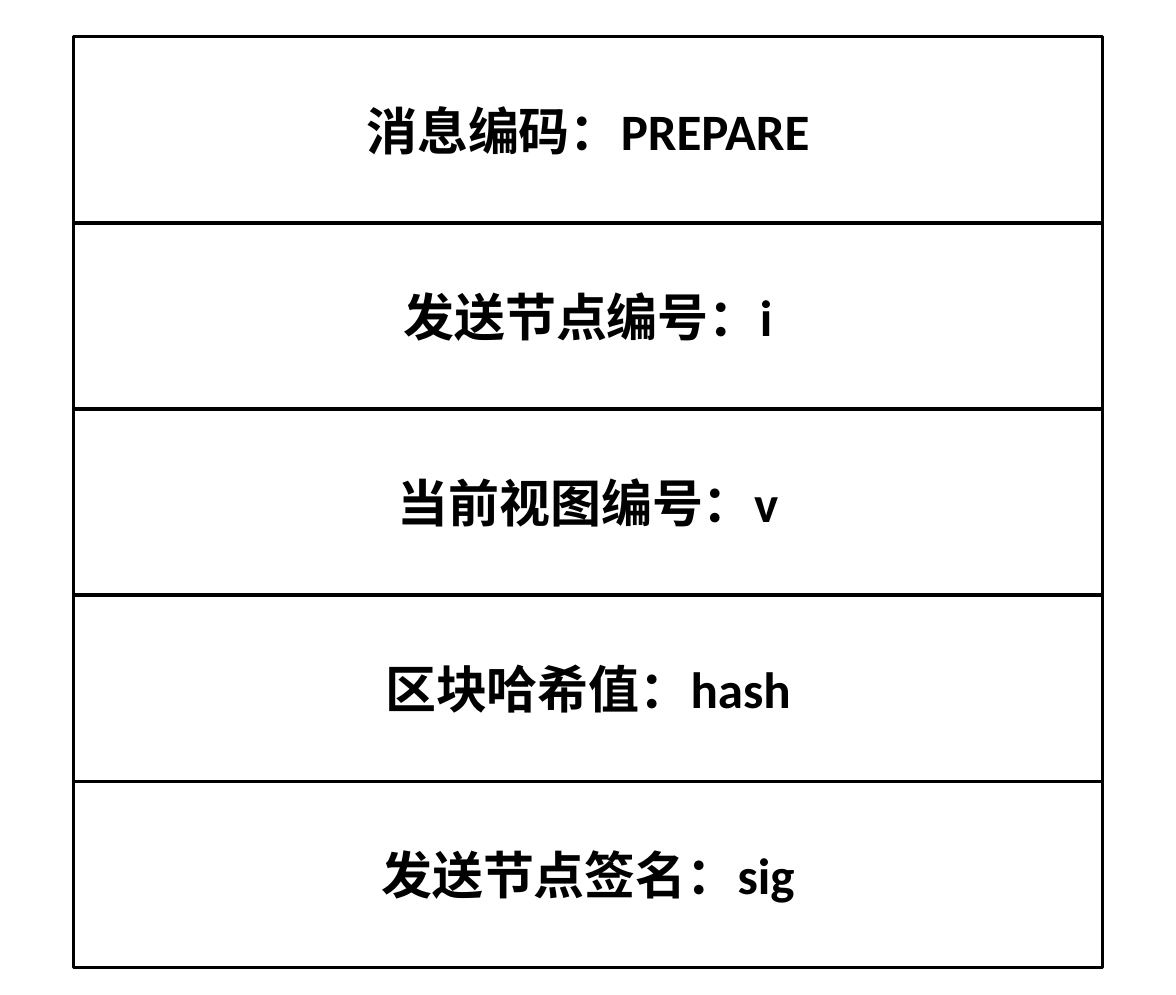
from dataclasses import dataclass

from pptx import Presentation
from pptx.dml.color import RGBColor
from pptx.enum.shapes import MSO_SHAPE as Shape
from pptx.enum.text import MSO_ANCHOR as Anchor, PP_ALIGN as Align
from pptx.util import Inches, Pt


@dataclass(frozen=True)
class Theme:
    ink: RGBColor = RGBColor(0, 0, 0)
    paper: RGBColor = RGBColor(255, 255, 255)
    font: str = "Calibri"
    text_size: Pt = Pt(16)
    border: Pt = Pt(1)


def apply_format(target, values):
    for name, value in values.items():
        setattr(target, name, value)


class SlideBuilder:
    def __init__(self, slide, theme):
        self.slide = slide
        self.theme = theme

    def field_box(self, text, left, top, width, height):
        theme = self.theme
        shape = self.slide.shapes.add_shape(
            Shape.RECTANGLE, Inches(left), Inches(top), Inches(width), Inches(height)
        )
        shape.shadow.inherit = False
        shape.fill.solid()
        shape.fill.fore_color.rgb = theme.paper
        shape.line.color.rgb = theme.ink
        shape.line.width = theme.border

        frame = shape.text_frame
        apply_format(frame, {"word_wrap": True, "vertical_anchor": Anchor.MIDDLE})
        paragraph = frame.paragraphs[0]
        paragraph.alignment = Align.CENTER
        run = paragraph.add_run()
        run.text = text
        apply_format(run.font, {"name": theme.font, "size": theme.text_size, "bold": True})
        run.font.color.rgb = theme.ink


MESSAGE_FIELDS = [
    "消息编码：PREPARE",
    "发送节点编号：i",
    "当前视图编号：v",
    "区块哈希值：hash",
    "发送节点签名：sig",
]
LEFT, TOP = 0.32, 0.16
WIDTH, ROW_HEIGHT = 4.48, 0.81


def main():
    presentation = Presentation()
    presentation.slide_width = Inches(5.12)
    presentation.slide_height = Inches(4.33)
    slide = presentation.slides.add_slide(presentation.slide_layouts[6])
    builder = SlideBuilder(slide, Theme())
    for row, text in enumerate(MESSAGE_FIELDS):
        builder.field_box(text, LEFT, TOP + row * ROW_HEIGHT, WIDTH, ROW_HEIGHT)
    presentation.save("out.pptx")


if __name__ == "__main__":
    main()
